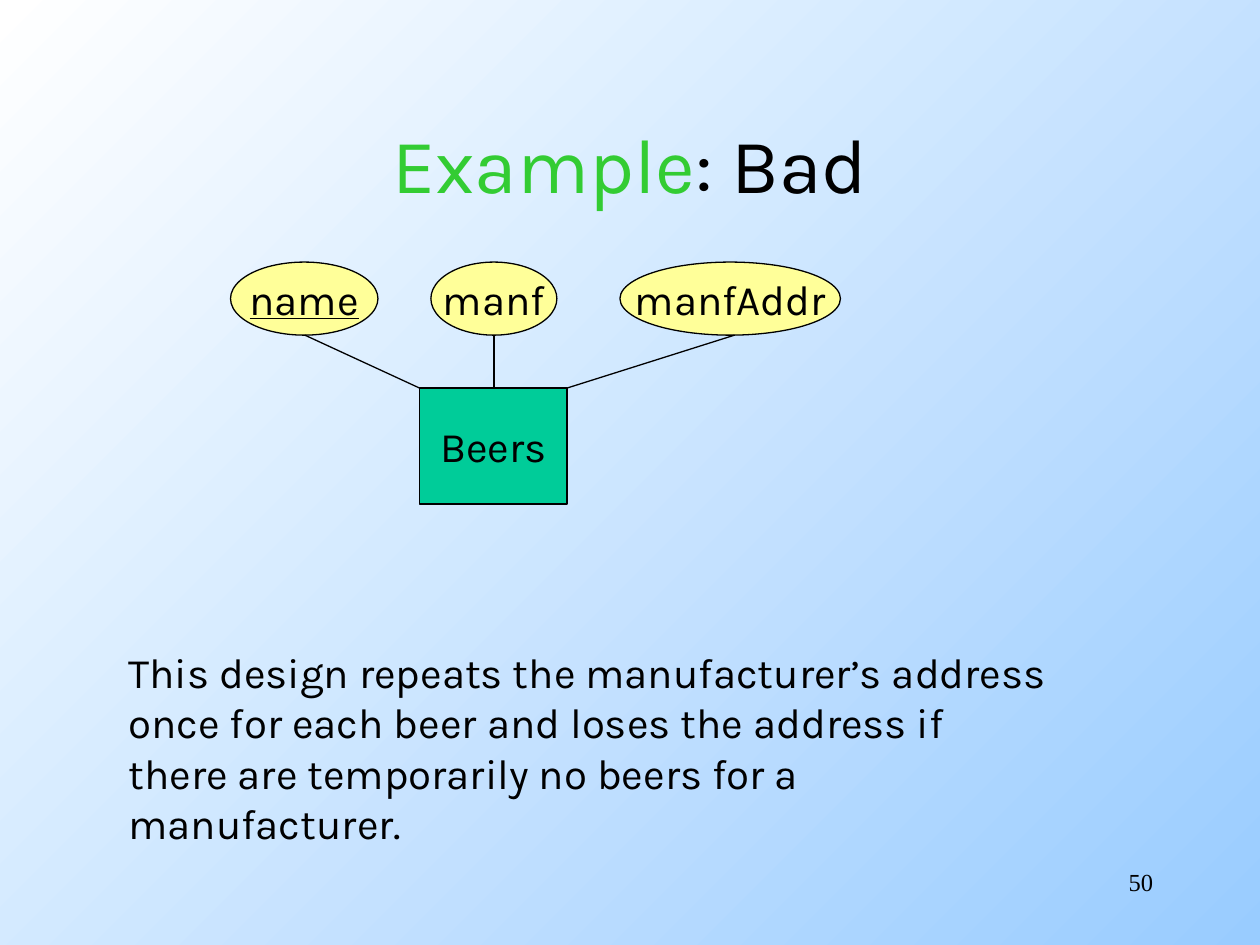
"""Build the slide showing a poor entity design for Beers."""
from dataclasses import dataclass

from lxml.etree import SubElement
from pptx import Presentation
from pptx.dml.color import RGBColor
from pptx.enum.shapes import MSO_CONNECTOR as Conn, MSO_SHAPE as Shape
from pptx.enum.text import MSO_ANCHOR as Anchor, PP_ALIGN as Align
from pptx.oxml.ns import qn
from pptx.util import Inches, Pt

BLACK = RGBColor(0x00, 0x00, 0x00)
WHITE = RGBColor(0xFF, 0xFF, 0xFF)
SKY = RGBColor(0x99, 0xCC, 0xFF)
GREEN = RGBColor(0x33, 0xCC, 0x33)
TEAL = RGBColor(0x00, 0xCC, 0x99)
YELLOW = RGBColor(0xFF, 0xFF, 0x99)
LINE_WIDTH = Pt(0.75)
ATTR_TOP, ATTR_HEIGHT = 2.08, 0.58
ENTITY_LEFT, ENTITY_TOP, ENTITY_WIDTH, ENTITY_HEIGHT = 3.33, 3.08, 1.17, 0.92


@dataclass
class Attribute:
    name: str
    left: float
    width: float
    line_from: float
    line_to: float
    key: bool = False


ATTRIBUTES = [
    Attribute("name", 1.83, 1.17, 2.42, ENTITY_LEFT, key=True),
    Attribute("manf", 3.42, 1.0, 3.92, 3.92),
    Attribute("manfAddr", 4.92, 1.75, 5.83, ENTITY_LEFT + ENTITY_WIDTH),
]


def add_run(p, text: str, *, size: float = 24, font: str = "Karla",
            color: RGBColor = BLACK, underline: bool = False) -> None:
    r = p.add_run()
    r.text = text
    r.font.size = Pt(size)
    r.font.name = font
    r.font.color.rgb = color
    if underline:
        r.font.underline = True


def add_node(s, kind: Shape, text: str, left: float, top: float, width: float,
             height: float, fill: RGBColor, underline: bool = False) -> None:
    sp = s.shapes.add_shape(kind, Inches(left), Inches(top),
                            Inches(width), Inches(height))
    sp.shadow.inherit = False
    sp.fill.solid()
    sp.fill.fore_color.rgb = fill
    sp.line.color.rgb = BLACK
    sp.line.width = LINE_WIDTH
    tf = sp.text_frame
    tf.word_wrap = False
    tf.vertical_anchor = Anchor.MIDDLE
    p = tf.paragraphs[0]
    p.alignment = Align.CENTER
    add_run(p, text, underline=underline)


def add_link(s, attr: Attribute) -> None:
    line = s.shapes.add_connector(
        Conn.STRAIGHT, Inches(attr.line_from), Inches(ATTR_TOP + ATTR_HEIGHT),
        Inches(attr.line_to), Inches(ENTITY_TOP))
    line.line.color.rgb = BLACK
    line.line.width = LINE_WIDTH
    SubElement(line._element.spPr, qn("a:effectLst"))


def add_text(s, text: str, left: float, top: float, width: float, height: float,
             align: Align = Align.LEFT, **fmt) -> None:
    tf = s.shapes.add_textbox(Inches(left), Inches(top),
                              Inches(width), Inches(height)).text_frame
    tf.word_wrap = True
    p = tf.paragraphs[0]
    p.alignment = align
    add_run(p, text, **fmt)


def set_background(s) -> None:
    fill = s.background.fill
    fill.gradient()
    fill.gradient_angle = 315
    for stop, color in zip(fill.gradient_stops, (WHITE, SKY)):
        stop.color.rgb = color


def set_title(s) -> None:
    title = s.shapes.title
    title.left, title.top = Inches(0.75), Inches(0.67)
    title.width, title.height = Inches(8.5), Inches(1.25)
    tf = title.text_frame
    tf.vertical_anchor = Anchor.MIDDLE
    p = tf.paragraphs[0]
    p.alignment = Align.CENTER
    add_run(p, "Example", size=44, color=GREEN)
    add_run(p, ": Bad", size=44)


def main() -> None:
    prs = Presentation()
    prs.slide_width, prs.slide_height = Inches(10), Inches(7.5)
    s = prs.slides.add_slide(prs.slide_layouts[5])
    set_background(s)
    set_title(s)
    add_node(s, Shape.RECTANGLE, "Beers", ENTITY_LEFT, ENTITY_TOP,
             ENTITY_WIDTH, ENTITY_HEIGHT, TEAL)
    for attr in ATTRIBUTES:
        add_node(s, Shape.OVAL, attr.name, attr.left, ATTR_TOP, attr.width,
                 ATTR_HEIGHT, YELLOW, underline=attr.key)
        add_link(s, attr)
    add_text(s, "This design repeats the manufacturer’s address once for each "
             "beer and loses the address if there are temporarily no beers "
             "for a manufacturer.", 0.92, 5.08, 7.52, 1.7)
    add_text(s, "50", 7.17, 6.83, 2.08, 0.5, Align.RIGHT,
             size=14, font="Times New Roman")
    prs.save("out.pptx")


if __name__ == "__main__":
    main()
